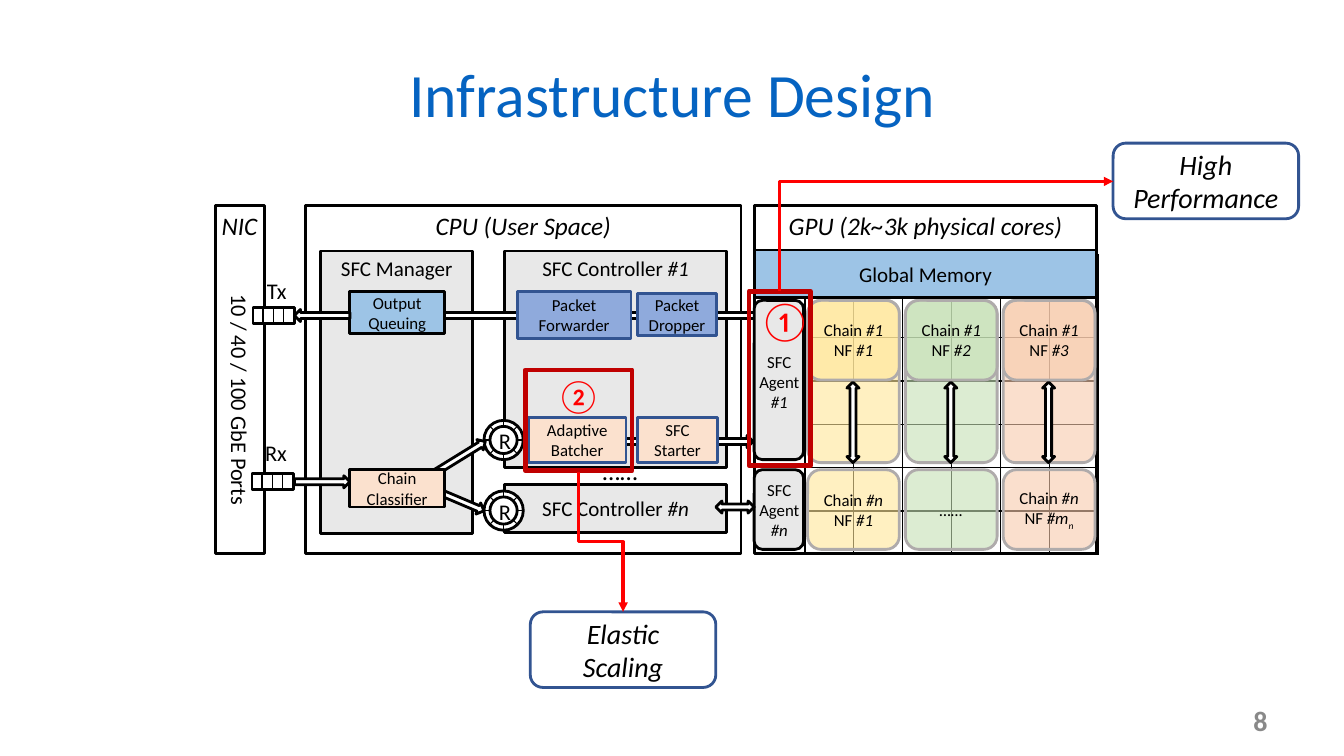
from math import cos, radians, sin

from lxml.etree import SubElement
from pptx import Presentation
from pptx.dml.color import RGBColor as Rgb
from pptx.enum.shapes import MSO_CONNECTOR as Wire, MSO_SHAPE as Form
from pptx.enum.text import MSO_ANCHOR as Anchor, MSO_AUTO_SIZE as Auto, PP_ALIGN as Align
from pptx.oxml.ns import qn
from pptx.util import Inches, Pt

HUES = {
    "ink": "000000", "white": "FFFFFF", "title": "0563C1", "page": "898989",
    "panel": "D9D9D9", "agent": "E8E8E8", "sky": "9DC4E6", "blue": "8FAADC",
    "navy": "325491", "peach": "FBE1CE", "rim": "AFABAB", "frame": "C00000",
    "red": "FF0000", "gold": "FFE699", "green": "C5E0B4", "rose": "F8CBAD",
}
PLAIN = "{2D5ABB26-0587-4C30-8999-92F81FD0307C}"


class Sketch:
    """Draws styled elements on one slide, measured in grid cells of a tenth of an inch."""

    font = "Calibri"
    cell = Inches(0.1)

    def __init__(self, deck):
        self.slide = deck.slides.add_slide(deck.slide_layouts[5])
        self.pen = self.slide.shapes

    def grid(self, *spans):
        return [round(span * self.cell) for span in spans]

    def hue(self, name):
        return Rgb.from_string(HUES[name])

    def group(self):
        self.pen = self.slide.shapes.add_group_shape().shapes

    def leave(self):
        self.pen = self.slide.shapes

    def letter(self, frame, text, size, tint="ink", lean=False, bold=False,
               align=Align.CENTER, anchor=Anchor.MIDDLE):
        frame.text = text
        frame.vertical_anchor = anchor
        for para in frame.paragraphs:
            para.alignment = align
            head, mark, tail = para.text.partition("#")
            para.text = head
            if mark:
                base, low, sub = tail.partition("_")
                para.add_run().text = mark + base
                if low:
                    run = para.add_run()
                    run.text = sub
                    run._r.get_or_add_rPr().set("baseline", "-25000")
            for run in para.runs:
                face = run.font
                face.name, face.size, face.bold = self.font, Pt(size), bold
                face.italic = lean or run.text != head
                face.color.rgb = self.hue(tint)

    def title(self, spot, text):
        head = self.slide.shapes.title
        head.left, head.top, head.width, head.height = self.grid(*spot)
        self.letter(head.text_frame, text, 44, "title")

    def box(self, spot, text="", fill=None, form=Form.RECTANGLE, edge="ink", wide=2,
            size=12, clear=False, bend=None, turn=0, **look):
        shape = self.pen.add_shape(form, *self.grid(*spot))
        shape.shadow.inherit = False
        shape.rotation = turn
        shape.line.color.rgb, shape.line.width = self.hue(edge), Pt(wide)
        if fill:
            shape.fill.solid()
            shape.fill.fore_color.rgb = self.hue(fill)
        else:
            shape.fill.background()
        if clear:
            color = shape.element.spPr.find(qn("a:solidFill"))[0]
            SubElement(color, qn("a:alpha"), val="60000")
        if bend:
            shape.adjustments[0] = bend
        if text:
            self.letter(shape.text_frame, text, size, **look)
        return shape

    def arrow(self, spot, form=Form.RIGHT_ARROW, turn=0):
        self.box(spot, fill="white", form=form, turn=turn)

    def label(self, spot, text, size, wrap=False, align=Align.LEFT, anchor=Anchor.TOP, **look):
        frame = self.pen.add_textbox(*self.grid(*spot)).text_frame
        frame.word_wrap = wrap
        frame.auto_size = Auto.NONE if wrap else Auto.SHAPE_TO_FIT_TEXT
        self.letter(frame, text, size, align=align, anchor=anchor, **look)

    def line(self, start, end, wide=1, tint="ink", kind=Wire.STRAIGHT):
        wire = self.pen.add_connector(kind, *self.grid(*start, *end))
        wire.line.color.rgb, wire.line.width = self.hue(tint), Pt(wide)
        SubElement(wire.element.spPr, qn("a:effectLst"))
        return wire

    def elbow(self, start, end, turn, form):
        mid = [(a + b) / 2 for a, b in zip(start, end)]
        dx, dy = start[0] - mid[0], start[1] - mid[1]
        way = sin(radians(turn))
        near = mid[0] + way * dy, mid[1] - way * dx
        far = mid[0] - way * dy, mid[1] + way * dx
        props = self.line(near, far, 2.25, "red", Wire.ELBOW).element.spPr
        props.find(qn("a:xfrm")).set("rot", str(turn * 60000))
        props.find(qn("a:prstGeom")).set("prst", form)
        SubElement(props.find(qn("a:ln")), qn("a:tailEnd"), type="triangle")

    def port(self, left, top):
        self.group()
        self.box((left, top, 4.1, 1.6), fill="white")
        for step in (1, 2, 3):
            self.line((left + step, top), (left + step, top + 1.6))
        self.leave()

    def ring(self, x, y):
        self.group()
        outer, inner = 1.95, 1.35
        for reach in (outer, inner):
            self.box((x - reach, y - reach, 2 * reach, 2 * reach), fill="white", form=Form.OVAL)
        for angle in range(0, 360, 45):
            dx, dy = cos(radians(angle)), sin(radians(angle))
            self.line((x + outer * dx, y + outer * dy), (x + inner * dx, y + inner * dy), 0.75)
        self.label((x - 1.45, y - 1.75, 3.8, 4.3), "R", 16)
        self.leave()

    def cores(self, spot, rows, cols):
        table = self.pen.add_table(len(rows), cols, *self.grid(*spot)).table
        table.first_row = table.horz_banding = False
        table._tbl.tblPr[0].text = PLAIN
        for row, tall in zip(table.rows, rows):
            row.height = self.grid(tall)[0]
        for cell in table.iter_cells():
            cell.fill.background()
            props = cell._tc.get_or_add_tcPr()
            for place, side in enumerate(("a:lnR", "a:lnB")):
                edge = SubElement(props, qn(side), w=str(Pt(1)))
                SubElement(SubElement(edge, qn("a:solidFill")), qn("a:srgbClr"), val=HUES["ink"])
                props.insert(place, edge)


deck = Presentation()
deck.slide_width, deck.slide_height = Inches(13.33), Inches(7.5)
art = Sketch(deck)
TOP, ROUND = Anchor.TOP, Form.ROUNDED_RECTANGLE

art.title((6.7, 3, 120, 12.5), "Infrastructure Design")
art.label((95.6, 69.5, 31.1, 4), "8", 20, wrap=True, align=Align.RIGHT,
          anchor=Anchor.MIDDLE, tint="page", bold=True)

art.box((31.8, 24.9, 15.1, 28), "SFC Manager", "panel", clear=True, size=15, anchor=TOP)
nic = art.box((21.4, 20.4, 4.8, 34.5), "10 / 40 / 100 GbE Ports", size=16).text_frame
nic._txBody.bodyPr.set("vert", "vert")
nic.paragraphs[0]._p.get_or_add_pPr().set("marL", str(Inches(0.4)))
art.port(25, 47)
art.port(25.1, 30.5)
art.label((25.3, 43.1, 4.2, 3.7), "Rx", 16)
art.label((25.5, 27, 4, 3.7), "Tx", 16)

art.box((30.3, 20.4, 43.2, 34.5), "CPU (User Space)", size=18, lean=True, anchor=TOP)
art.label((21, 20.4, 5.6, 4), "NIC", 18, lean=True)
art.box((50, 24.9, 22.1, 21.5), "SFC Controller #1", "panel", clear=True, size=15, anchor=TOP)
art.box((50, 48.1, 22.1, 4.7), "SFC Controller #n", "panel", clear=True, size=15)
art.ring(49.95, 43.65)

art.box((74.8, 20.4, 34, 34.5), "GPU (2k~3k physical cores)", size=18, lean=True, anchor=TOP)
art.cores((75, 25.2, 33.9, 29.7), [3.9] + [4.3] * 6, 7)
chains = [
    ("gold", 0.144, "Chain #1\nNF #1", "Chain #n\nNF #1"),
    ("green", 0.154, "Chain #1\nNF #2", "……"),
    ("rose", 0.135, "Chain #1\nNF #3", "Chain #n\nNF #m_n"),
]
for col, (fill, bend, first, last) in enumerate(chains):
    left = 80.1 + 9.7 * col
    look = dict(fill=fill, form=ROUND, edge="rim", clear=True)
    art.box((left, 29.8, 9.1, 16.1), bend=bend, **look)
    art.box((left, 46.6, 9.1, 7.9), last, lean=last == "……", **look)
    art.arrow((left + 3.9, 37.9, 1.2, 8), Form.UP_DOWN_ARROW)
    art.box((left, 29.8, 9.1, 7.9), first, **look)
art.box((74.8, 24.8, 34, 4.7), "Global Memory", "sky", size=15)

art.arrow((51.9, 43.2, 22.8, 1.2))
art.box((63.2, 41.4, 8, 4.5), "SFC Starter", "peach", edge="navy")
art.box((52.4, 41.4, 9.7, 4.5), "Adaptive\nBatcher", "peach", edge="navy")
art.arrow((42.2, 30.7, 32.8, 1.2), Form.LEFT_ARROW)
art.box((63.2, 29.1, 7.9, 4.2), "Packet Dropper", "blue", edge="navy")
art.box((51.3, 28.9, 11.3, 4.7), "Packet Forwarder", "blue", edge="navy")
art.ring(49.95, 50.65)

for top, tall, name, line in ((29.8, 15.8, "#1", 34.4), (46.6, 7.9, "#n", 47.1)):
    art.box((74.8, top, 4.9, tall), fill="agent", form=ROUND)
    art.label((74.3, line, 6, 7.1), "SFC\nAgent\n" + name, 12, align=Align.CENTER)
art.arrow((71, 49.7, 3.8, 1.2), Form.LEFT_RIGHT_ARROW)
art.arrow((29.2, 47.2, 5.5, 1.2))
art.arrow((41.1, 45.2, 7.6, 1.2), turn=328.3)
art.box((34.7, 28.9, 9.4, 4.2), "Output Queuing", "sky")
art.arrow((29.2, 30.7, 5.5, 1.2), Form.LEFT_ARROW)
art.label((58.8, 44.7, 5.6, 4), "……", 18)
art.arrow((40.7, 48.6, 7.6, 1.2), turn=23)
art.box((34.7, 46.6, 9.4, 3.7), "Chain Classifier", "peach")

mark = dict(edge="frame", wide=3.25, tint="red", anchor=TOP)
art.box((74.3, 28.9, 6.1, 17.3), "①", size=28, **mark)
art.box((52.1, 36.7, 10.6, 10), "②", size=24, **mark)
for left, top, goal in ((110.4, 14.2, "High Performance"), (52.6, 60.7, "Elastic Scaling")):
    art.box((left, top, 18.4, 7.5), goal, form=ROUND, edge="navy", size=20, lean=True)
art.elbow((77.3, 28.9), (110.4, 18), 90, "bentConnector2")
art.elbow((57.4, 46.8), (61.8, 60.7), 270, "bentConnector3")

deck.save("out.pptx")
